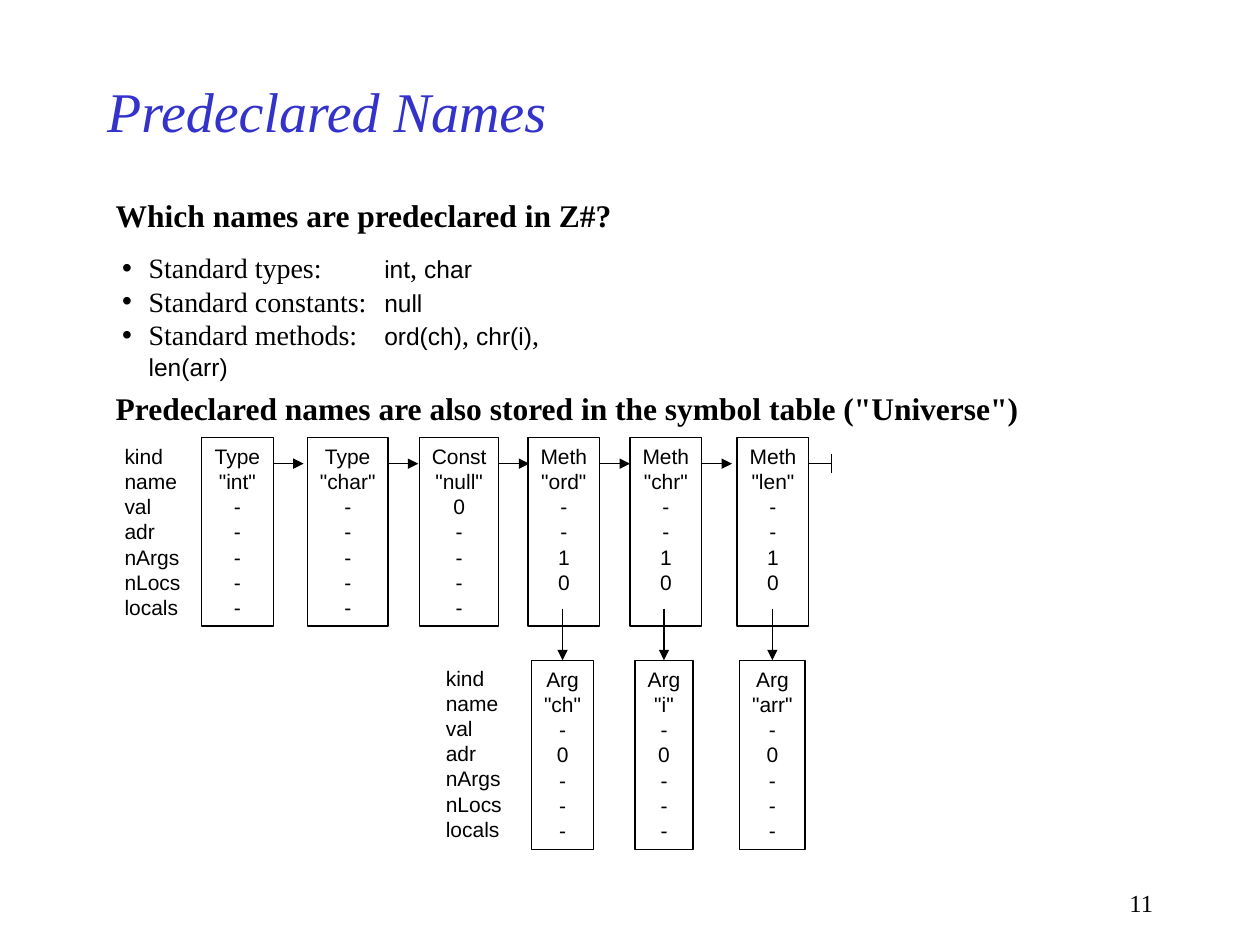
from lxml.etree import SubElement
from pptx import Presentation
from pptx.dml.color import RGBColor
from pptx.enum.shapes import MSO_CONNECTOR, MSO_SHAPE
from pptx.enum.text import MSO_ANCHOR, MSO_AUTO_SIZE, PP_ALIGN
from pptx.oxml.ns import qn
from pptx.util import Inches, Pt

SERIF, SANS = "Times New Roman", "Arial"
BLACK, BLUE = "000000", "3333CC"

TITLE = "Predeclared Names"
HEADINGS = [
    ("Which names are predeclared in Z#?", (0.82, 1.51, 4.15, 0.4)),
    ('Predeclared names are also stored in the symbol table ("Universe")',
     (0.82, 3.04, 7.38, 0.4)),
]
STANDARD_NAMES = [
    ("Standard types:", ["int", "char"]),
    ("Standard constants:", ["null"]),
    ("Standard methods:", ["ord(ch)", "chr(i)", "len(arr)"]),
]
FIELDS = ["kind", "name", "val", "adr", "nArgs", "nLocs", "locals"]
# left, width, field values
UNIVERSE = [
    (1.6, 0.57, ["Type", '"int"', *"-----"]),
    (2.44, 0.64, ["Type", '"char"', *"-----"]),
    (3.33, 0.63, ["Const", '"null"', *"0----"]),
    (4.19, 0.57, ["Meth", '"ord"', *"--10"]),
    (5, 0.57, ["Meth", '"chr"', *"--10"]),
    (5.85, 0.57, ["Meth", '"len"', *"--10"]),
]
ARGUMENTS = [
    (4.22, 0.49, ["Arg", '"ch"', *"-0---"]),
    (5.04, 0.46, ["Arg", '"i"', *"-0---"]),
    (5.87, 0.52, ["Arg", '"arr"', *"-0---"]),
]
PAGE_NUMBER = "11"

NODE_HEIGHT = 1.5
UNIVERSE_TOP, ARGUMENTS_TOP = 3.47, 5.24
LINK_Y, LINK_LENGTH = 3.68, 0.24
LOCALS_Y = 4.83
END_X = 6.6


def rgb(color):
    return RGBColor.from_string(color)


def add_run(paragraph, text, size, font=SERIF, color=BLACK, **style):
    run = paragraph.add_run()
    run.text = text
    run.font.color.rgb = rgb(color)
    for name, value in {"size": Pt(size), "name": font, **style}.items():
        setattr(run.font, name, value)


def place(shape, box):
    for name, value in zip(("left", "top", "width", "height"), box):
        setattr(shape, name, Inches(value))


def set_frame(frame, wrap=False, anchor=MSO_ANCHOR.TOP):
    frame.auto_size = MSO_AUTO_SIZE.NONE
    frame.word_wrap = wrap
    frame.vertical_anchor = anchor
    return frame


def add_text(slide, box, lines, size, align=PP_ALIGN.LEFT, **style):
    textbox = slide.shapes.add_textbox(*map(Inches, box))
    fill_lines(textbox, lines, size, align, **style)


def fill_lines(shape, lines, size, align, **style):
    frame = set_frame(shape.text_frame)
    for i, line in enumerate(lines):
        paragraph = frame.add_paragraph() if i else frame.paragraphs[0]
        paragraph.alignment = align
        add_run(paragraph, line, size, **style)


def add_node(slide, left, top, width, values):
    node = slide.shapes.add_shape(
        MSO_SHAPE.RECTANGLE, *map(Inches, (left, top, width, NODE_HEIGHT)))
    node.shadow.inherit = False
    node.fill.background()
    node.line.color.rgb = rgb(BLACK)
    node.line.width = Pt(0.75)
    fill_lines(node, values, 12, PP_ALIGN.CENTER, font=SANS)


def add_line(slide, x1, y1, x2, y2, arrow=True):
    line = slide.shapes.add_connector(
        MSO_CONNECTOR.STRAIGHT, *map(Inches, (x1, y1, x2, y2)))
    line.line.color.rgb = rgb(BLACK)
    line.line.width = Pt(0.75)
    if arrow:
        SubElement(line.line._get_or_add_ln(), qn("a:tailEnd"), type="triangle")
    SubElement(line._element.spPr, qn("a:effectLst"))


def set_bullet(paragraph, indent, tab):
    """Give the paragraph a hanging bullet and one left tab stop."""
    props = paragraph._p.get_or_add_pPr()
    props.set("marL", str(Inches(indent)))
    props.set("indent", str(-Inches(indent)))
    SubElement(props, qn("a:buChar"), char="•")
    tabs = SubElement(props, qn("a:tabLst"))
    SubElement(tabs, qn("a:tab"), pos=str(Inches(tab)), algn="l")


def fill_title(title):
    place(title, (0.75, 0.5, 7.5, 0.75))
    heading = set_frame(title.text_frame, True, MSO_ANCHOR.MIDDLE).paragraphs[0]
    heading.alignment = PP_ALIGN.LEFT
    add_run(heading, TITLE, 32, color=BLUE, italic=True)


def fill_standard_names(body):
    place(body, (0.87, 1.94, 4.19, 0.9))
    frame = set_frame(body.text_frame)
    for i, (label, names) in enumerate(STANDARD_NAMES):
        paragraph = frame.add_paragraph() if i else frame.paragraphs[0]
        set_bullet(paragraph, 0.21, 2.08)
        paragraph.space_before = Pt(0)
        add_run(paragraph, label + "\t", 16)
        for j, name in enumerate(names):
            if j:
                add_run(paragraph, ", ", 16)
            add_run(paragraph, name, 14, SANS)


def draw_symbol_table(slide):
    for left, top in ((0.89, UNIVERSE_TOP), (3.44, ARGUMENTS_TOP - 0.01)):
        add_text(slide, (left, top, 0.64, NODE_HEIGHT), FIELDS, 12, font=SANS)
    for left, width, values in UNIVERSE:
        add_node(slide, left, UNIVERSE_TOP, width, values)
    for left, width, _ in UNIVERSE[:-1]:
        right = left + width
        add_line(slide, right, LINK_Y, right + LINK_LENGTH, LINK_Y)
    last_left, last_width, _ = UNIVERSE[-1]
    add_line(slide, last_left + last_width, LINK_Y, END_X, LINK_Y, arrow=False)
    add_line(slide, END_X, LINK_Y - 0.08, END_X, LINK_Y + 0.07, arrow=False)
    for left, width, values in ARGUMENTS:
        add_node(slide, left, ARGUMENTS_TOP, width, values)
        middle = left + width / 2
        add_line(slide, middle, LOCALS_Y, middle, ARGUMENTS_TOP)


def main():
    deck = Presentation()
    deck.slide_width, deck.slide_height = Inches(10), Inches(7.5)
    slide = deck.slides.add_slide(deck.slide_layouts[1])
    fill_title(slide.shapes.title)
    fill_standard_names(slide.placeholders[1])
    for heading, box in HEADINGS:
        add_text(slide, box, [heading], 18, bold=True)
    draw_symbol_table(slide)
    add_text(slide, (7.17, 7, 2.08, 0.33), [PAGE_NUMBER], 14, PP_ALIGN.RIGHT)
    deck.save("out.pptx")


if __name__ == "__main__":
    main()
